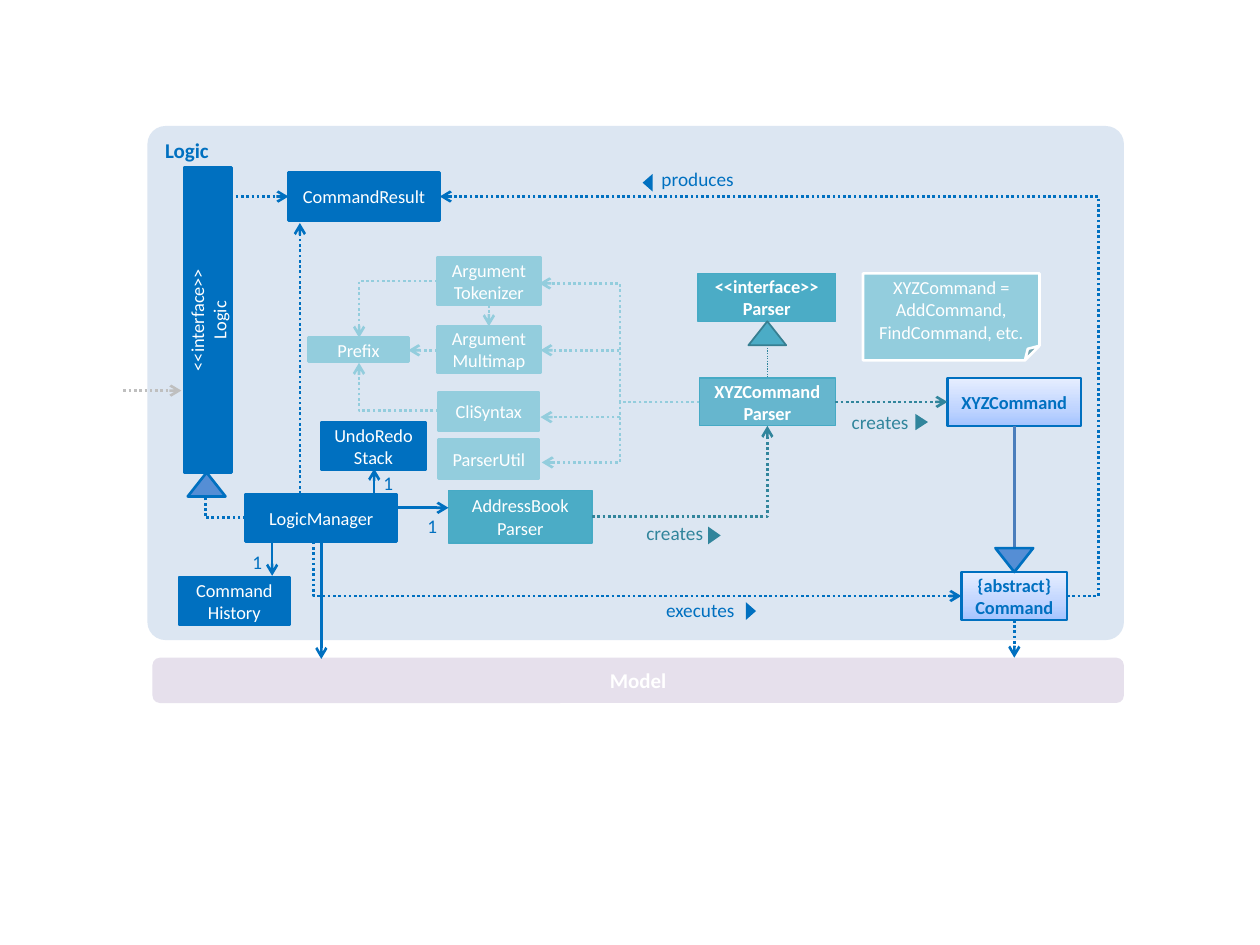
from dataclasses import dataclass

from lxml import etree
from pptx import Presentation
from pptx.dml.color import RGBColor
from pptx.enum.dml import MSO_LINE
from pptx.enum.shapes import MSO_CONNECTOR, MSO_SHAPE
from pptx.enum.text import MSO_ANCHOR, PP_ALIGN
from pptx.oxml.ns import qn
from pptx.util import Inches, Pt

RECT, ROUNDED = MSO_SHAPE.RECTANGLE, MSO_SHAPE.ROUNDED_RECTANGLE
TRIANGLE, NOTE = MSO_SHAPE.ISOSCELES_TRIANGLE, MSO_SHAPE.FOLDED_CORNER
STRAIGHT, ELBOW = MSO_CONNECTOR.STRAIGHT, MSO_CONNECTOR.ELBOW
DOTTED = MSO_LINE.ROUND_DOT
LEFT, CENTER, RIGHT = PP_ALIGN.LEFT, PP_ALIGN.CENTER, PP_ALIGN.RIGHT
TOP, MIDDLE = MSO_ANCHOR.TOP, MSO_ANCHOR.MIDDLE


@dataclass(frozen=True)
class Theme:
    font: str = "Calibri"
    heading: float = 12
    label: float = 11
    body: float = 10.5
    stroke: float = 1.5
    thin: float = 0.75
    panel: str = "DCE6F2"
    model: str = "E6E0EC"
    blue: str = "0070C0"
    arrowhead: str = "558ED5"
    inherit: str = "4B7EBC"
    teal: str = "4BACC6"
    teal_edge: str = "46AAC5"
    teal_outline: str = "377F92"
    teal_dark: str = "31859C"
    pale: str = "93CDDD"
    grey: str = "BFBFBF"
    white: str = "FFFFFF"
    gradient: tuple = ((0, "A4C4FF"), (35, "BFD4FF"), (100, "E6EEFF"))


THEME = Theme()


def rgb(color):
    return RGBColor.from_string(color)


def write(frame, text, size, color, bold=False, align=CENTER, anchor=MIDDLE):
    frame.word_wrap = True
    frame.vertical_anchor = anchor
    frame.text = text
    for paragraph in frame.paragraphs:
        paragraph.alignment = align
        for run in paragraph.runs:
            run.font.name, run.font.size = THEME.font, Pt(size)
            run.font.bold, run.font.color.rgb = bold, rgb(color)


def fill_gradient(shape, stops):
    shape.fill.gradient()
    shape.fill.gradient_angle = 90
    stop_list = shape.fill._fill._gradFill.find(qn("a:gsLst"))
    for old_stop in list(stop_list):
        stop_list.remove(old_stop)
    for position, color in stops:
        stop = etree.SubElement(stop_list, qn("a:gs"), pos=str(position * 1000))
        etree.SubElement(stop, qn("a:srgbClr"), val=color)


class Region:
    """Draws parts at offsets, in inches, from its own top left corner."""

    def __init__(self, slide, left, top):
        self.shapes, self.left, self.top = slide.shapes, left, top

    def place(self, x, y):
        return Inches(self.left + x), Inches(self.top + y)

    def shape(self, kind, box, fill, edge=None, weight=THEME.stroke, rotation=0):
        x, y, width, height = box
        part = self.shapes.add_shape(kind, *self.place(x, y), Inches(width), Inches(height))
        part.shadow.inherit = False
        part.rotation = rotation
        if isinstance(fill, tuple):
            fill_gradient(part, fill)
        else:
            part.fill.solid()
            part.fill.fore_color.rgb = rgb(fill)
        if edge:
            part.line.color.rgb, part.line.width = rgb(edge), Pt(weight)
        else:
            part.line.fill.background()
        return part

    def label(self, box, text, color, align=LEFT):
        x, y, width, height = box
        frame = self.shapes.add_textbox(*self.place(x, y), Inches(width), Inches(height)).text_frame
        frame.margin_left = frame.margin_right = frame.margin_top = frame.margin_bottom = 0
        write(frame, text, THEME.label, color, align=align, anchor=TOP)

    def link(self, start, end, color, dotted=True, arrow=True, via=None, corner=False,
             weight=THEME.stroke):
        """via is the x of the middle run; corner turns once, horizontal first."""
        kind = ELBOW if corner or via is not None else STRAIGHT
        line = self.shapes.add_connector(kind, *self.place(*start), *self.place(*end))
        line.line.color.rgb, line.line.width = rgb(color), Pt(weight)
        if dotted:
            line.line.dash_style = DOTTED
        properties = line._element.spPr
        geometry = properties.find(qn("a:prstGeom"))
        if corner:
            geometry.set("prst", "bentConnector2")
        elif via is not None:
            bend = round((via - start[0]) / (end[0] - start[0]) * 100000)
            guides = geometry.find(qn("a:avLst"))
            etree.SubElement(guides, qn("a:gd"), name="adj1", fmla=f"val {bend}")
        if arrow:
            etree.SubElement(properties.find(qn("a:ln")), qn("a:tailEnd"), type="arrow")
        etree.SubElement(properties, qn("a:effectLst"))


def draw_model(slide, left, top, width, height):
    bar = Region(slide, left, top).shape(ROUNDED, (0, 0, width, height), THEME.model)
    write(bar.text_frame, "Model", THEME.heading, THEME.white, bold=True)


def draw_classes(region):
    t = THEME
    blue = (t.blue, t.blue, t.stroke, t.white, False)
    pale = (t.pale, t.pale, t.stroke, t.white, False)
    teal = (t.teal, t.teal_edge, t.thin, t.white, False)
    teal_bold = (t.teal, t.teal_edge, t.thin, t.white, True)
    command = (t.gradient, t.blue, t.stroke, t.blue, True)
    classes = [
        ("CommandResult", (1.12, 0.37, 1.2, 0.38), blue),
        ("LogicManager", (0.78, 2.92, 1.2, 0.38), blue),
        ("Command\nHistory", (0.25, 3.58, 0.88, 0.38), blue),
        ("UndoRedo\nStack", (1.38, 2.35, 0.83, 0.38), blue),
        ("XYZCommand", (6.35, 2, 1.06, 0.38), command),
        ("{abstract}\vCommand", (6.46, 3.54, 0.84, 0.38), command),
        ("AddressBook\nParser", (2.39, 2.89, 1.14, 0.42), teal),
        ("<<interface>>\nParser", (4.37, 1.17, 1.09, 0.38), teal_bold),
        ("XYZCommand\nParser", (4.38, 2, 1.08, 0.38), teal_bold),
        ("Argument\vTokenizer", (2.3, 1.04, 0.82, 0.38), pale),
        ("Argument\vMultimap", (2.3, 1.59, 0.82, 0.37), pale),
        ("Prefix", (1.28, 1.68, 0.79, 0.19), pale),
        ("CliSyntax", (2.31, 2.11, 0.8, 0.31), pale),
        ("ParserUtil", (2.31, 2.49, 0.8, 0.31), pale),
    ]
    for text, box, (fill, edge, weight, color, bold) in classes:
        part = region.shape(RECT, box, fill, edge, weight)
        write(part.text_frame, text, t.body, color, bold)
        if text == "XYZCommand\nParser":
            tint = part._element.spPr.find(qn("a:solidFill"))[0]
            etree.SubElement(tint, qn("a:alpha"), val="81000")

    # Upright interface and the note
    interface = region.shape(RECT, (-0.73, 1.35, 2.42, 0.38), t.blue, t.blue, rotation=270)
    write(interface.text_frame, "<<interface>>\nLogic", t.body, t.white)
    note = region.shape(NOTE, (5.68, 1.17, 1.4, 0.69), t.pale, t.white)
    write(note.text_frame, "XYZCommand = AddCommand, FindCommand, etc.", t.body, t.white)


def draw_links(region):
    t = THEME
    # Results, execution and model access
    region.link((7.3, 3.73), (2.32, 0.56), t.blue, via=7.55)
    region.link((1.33, 3.31), (6.46, 3.73), t.blue, via=1.32)
    region.link((-0.19, 2.1), (0.27, 2.1), t.grey)
    for start, end in [((0.66, 0.56), (1.12, 0.56)), ((1.21, 2.92), (1.21, 0.77)),
                       ((6.88, 3.92), (6.88, 4.22))]:
        region.link(start, end, t.blue)
    for start, end in [((1.38, 3.3), (1.38, 4.23)), ((0.99, 3.31), (0.99, 3.57)),
                       ((1.99, 3.03), (2.39, 3.03)), ((1.8, 2.92), (1.8, 2.72))]:
        region.link(start, end, t.blue, dotted=False)

    # Parser helpers
    for end in [(3.11, 1.25), (3.12, 1.78), (3.12, 2.31), (3.13, 2.67)]:
        region.link((4.38, 2.19), end, t.pale, via=3.75)
    region.link((2.31, 2.26), (1.68, 1.88), t.pale, corner=True)
    region.link((2.3, 1.23), (1.68, 1.68), t.pale, corner=True)
    region.link((2.3, 1.78), (2.07, 1.78), t.pale)
    region.link((2.71, 1.42), (2.71, 1.59), t.pale)

    # Creation
    region.link((5.46, 2.19), (6.35, 2.19), t.teal_dark)
    region.link((3.53, 3.1), (4.92, 2.38), t.teal_dark, corner=True)

    # Inheritance
    region.link((0.78, 3.11), (0.46, 2.94), t.blue, arrow=False, corner=True)
    region.link((6.88, 3.35), (6.88, 2.38), t.inherit, dotted=False, arrow=False)
    region.link((4.92, 1.74), (4.92, 2), t.teal_dark, arrow=False, weight=t.thin)
    for x, y, rotation, fill, edge, weight in [
            (0.32, 2.75, 0, t.arrowhead, t.blue, t.stroke),
            (6.73, 3.35, 180, t.arrowhead, t.blue, t.stroke),
            (4.77, 1.55, 0, t.teal, t.teal_outline, 1)]:
        region.shape(TRIANGLE, (x, y, 0.3, 0.19), fill, edge, weight, rotation)


def draw_labels(region):
    t = THEME
    # Text with its reading direction marker
    for text, box, align, color, marker, rotation in [
            ("executes", (3.86, 3.75, 0.8, 0.25), RIGHT, t.blue, (4.72, 3.81, 0.14, 0.08), 90),
            ("produces", (4.08, 0.33, 0.8, 0.25), LEFT, t.blue, (3.9, 0.41, 0.14, 0.08), 270),
            ("creates", (3.96, 3.14, 0.61, 0.28), LEFT, t.teal_dark, (4.43, 3.2, 0.14, 0.1), 90),
            ("creates", (5.59, 2.26, 0.65, 0.24), LEFT, t.teal_dark, (6.08, 2.3, 0.13, 0.1), 90)]:
        region.label(box, text, color, align)
        region.shape(TRIANGLE, marker, color, rotation=rotation)
    # Multiplicities
    for x, y in [(2.16, 3.08), (0.77, 3.37), (1.81, 2.74)]:
        region.label((x, y, 0.14, 0.25), "1", t.blue, RIGHT)


def draw_logic(slide, left, top, width, height):
    region = Region(slide, left, top)
    panel = region.shape(ROUNDED, (0, 0, width, height), THEME.panel)
    panel.adjustments[0] = 0.035
    write(panel.text_frame, "Logic", THEME.heading, THEME.blue, True, LEFT, TOP)
    draw_classes(region)
    draw_links(region)
    draw_labels(region)


prs = Presentation()
prs.slide_width, prs.slide_height = Inches(10), Inches(7.5)
diagram = prs.slides.add_slide(prs.slide_layouts[6])
draw_model(diagram, 1.21, 5.22, 7.71, 0.36)
draw_logic(diagram, 1.17, 1, 7.75, 4.08)
prs.save("out.pptx")
